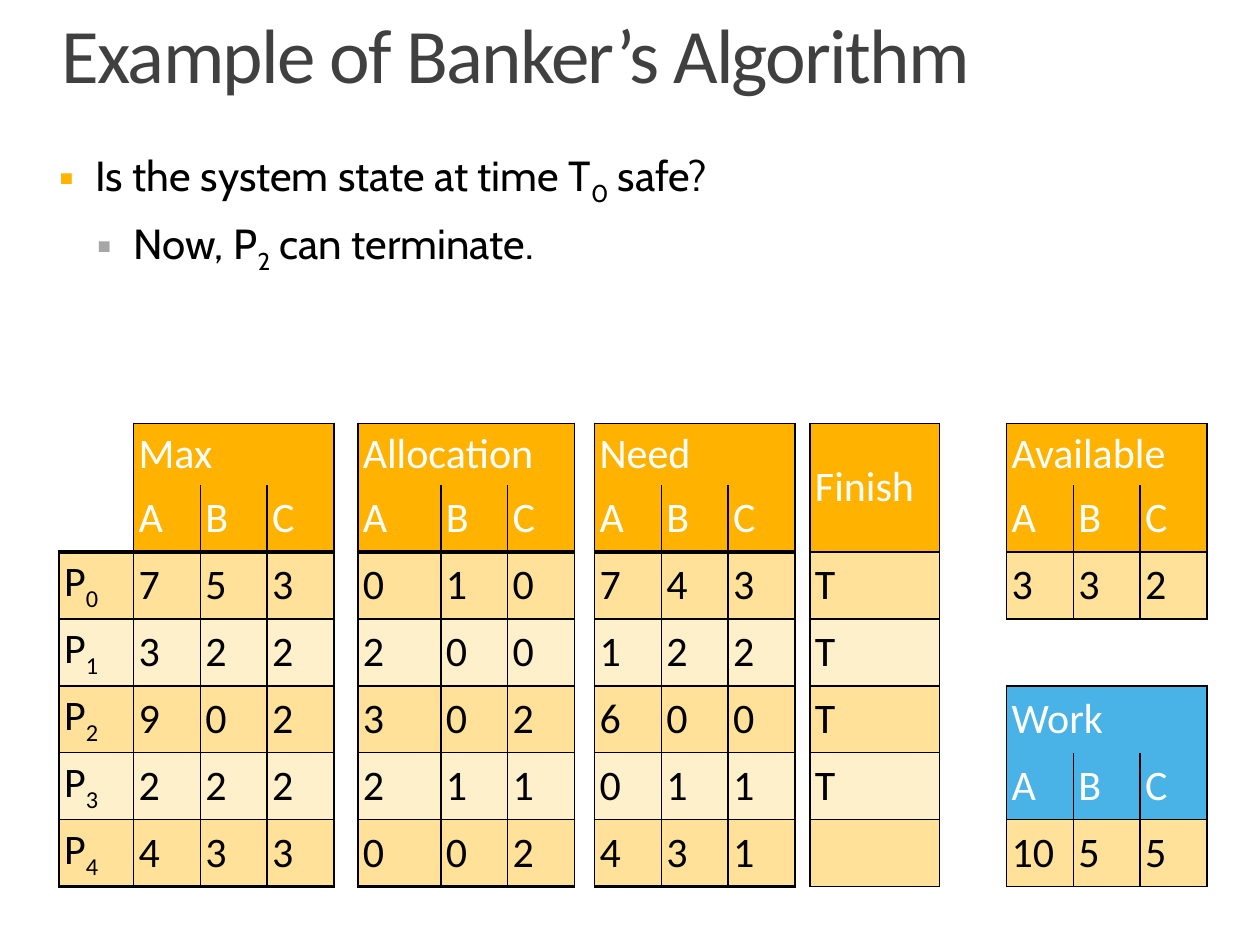
from collections import defaultdict

from lxml import etree
from pptx import Presentation
from pptx.dml.color import RGBColor
from pptx.enum.text import MSO_ANCHOR as Anchor, MSO_AUTO_SIZE as AutoSize, PP_ALIGN as Align
from pptx.oxml.ns import qn
from pptx.util import Inches, Pt

AMBER, BLUE, WHITE, BLACK = "FFB300", "49B3E8", "FFFFFF", "000000"
BANDS = ("FFE199", "FFF0CC")
NO_STYLE = "{2D5ABB26-0587-4C30-8999-92F81FD0307C}"
THIN, HEAVY = 1, 2.25
NEIGHBOURS = {"L": (0, -1, "R"), "R": (0, 1, "L"), "T": (-1, 0, "B"), "B": (1, 0, "T")}

COLUMNS = [0.59] + [0.53] * 3 + [0.19, 0.66, 0.53, 0.53, 0.16] + [0.53] * 3 + [0.12, 1.03] + [0.53] * 4
ROWS = [0.49] + [0.53] * 6
RESOURCES = ["A", "B", "C"]
PROCESSES = ["P_0", "P_1", "P_2", "P_3", "P_4"]
MAXIMUM = ["753", "322", "902", "222", "433"]
ALLOCATION = ["010", "200", "302", "211", "002"]
NEED = ["743", "122", "600", "011", "431"]


def color(value):
    """Turn a hex string into a colour."""
    return RGBColor.from_string(value)


def write(paragraph, text, size=24, font="Calibri", fill=BLACK, spacing=None):
    """Fill a paragraph, lowering each character that follows an underscore."""
    first, *rest = text.split("_")
    pieces = [(first, False)]
    for part in rest:
        pieces += [(part[0], True), (part[1:], False)]
    for piece, lowered in pieces:
        if not piece:
            continue
        run = paragraph.add_run()
        run.text = piece
        run.font.size, run.font.name = Pt(size), font
        run.font.color.rgb = color(fill)
        properties = run.font._element
        if lowered:
            properties.set("baseline", "-25000")
        if spacing is not None:
            properties.set("spc", str(spacing * 100))


def indent(paragraph, left, first=0):
    """Set the left margin and first-line indent of a paragraph in inches."""
    properties = paragraph._p.get_or_add_pPr()
    properties.set("marL", str(Inches(left)))
    properties.set("indent", str(Inches(first)))
    return properties


class SafetySlide:
    """Hold the presentation, its current slide and the table style."""

    def __init__(self):
        """Start a presentation with one title-only slide."""
        self.presentation = Presentation()
        self.presentation.slide_width = Inches(10)
        self.presentation.slide_height = Inches(7.5)
        self.slide = self.presentation.slides.add_slide(self.presentation.slide_layouts[5])
        self.edges = defaultdict(dict)

    def frame(self, shape, anchor, top=0):
        """Give a text shape its margins and wrapping."""
        frame = shape.text_frame
        frame.margin_left = frame.margin_right = frame.margin_bottom = 0
        frame.margin_top = Inches(top)
        frame.word_wrap, frame.auto_size = True, AutoSize.NONE
        frame.vertical_anchor = anchor
        return frame

    def title(self, text):
        """Place and format the title."""
        shape = self.slide.shapes.title
        shape.left, shape.top = 0, 0
        shape.width, shape.height = Inches(10), Inches(0.78)
        paragraph = self.frame(shape, Anchor.BOTTOM, 0.04).paragraphs[0]
        paragraph.alignment, paragraph.line_spacing = Align.LEFT, 0.8
        indent(paragraph, 0.49)
        write(paragraph, text, size=44, fill="404040", spacing=-1)

    def bullets(self, items, left, top, width, height):
        """Add nested bullets given as text, bullet colour and space before."""
        shape = self.slide.shapes.add_textbox(*map(Inches, (left, top, width, height)))
        frame = self.frame(shape, Anchor.TOP)
        for level, (text, bullet_color, space) in enumerate(items):
            paragraph = frame.add_paragraph() if level else frame.paragraphs[0]
            paragraph.level, paragraph.space_before = level, Pt(space)
            properties = indent(paragraph, 0.29 + 0.3 * level, -0.29)
            bullet = etree.SubElement(properties, qn("a:buClr"))
            etree.SubElement(bullet, qn("a:srgbClr"), val=bullet_color)
            etree.SubElement(properties, qn("a:buFont"), typeface="Calibri")
            etree.SubElement(properties, qn("a:buChar"), char="▪")
            write(paragraph, text, font="Cabin")

    def add_table(self, left, top):
        """Add the plain table that carries every block."""
        frame = self.slide.shapes.add_table(
            len(ROWS), len(COLUMNS), Inches(left), Inches(top), Inches(sum(COLUMNS)), Inches(sum(ROWS)))
        self.table = frame.table
        self.table.first_row = self.table.horz_banding = False
        next(frame.element.iter(qn("a:tableStyleId"))).text = NO_STYLE
        for column, width in zip(self.table.columns, COLUMNS):
            column.width = Inches(width)
        for row, height in zip(self.table.rows, ROWS):
            row.height = Inches(height)
        for cell in self.table.iter_cells():
            cell.margin_left = cell.margin_right = cell.margin_top = cell.margin_bottom = Inches(0.04)
            cell.vertical_anchor = Anchor.MIDDLE

    def cell(self, row, column, text, fill, font_color=BLACK, **sides):
        """Fill one cell and note its edges on both sides of each line."""
        cell = self.table.cell(row, column)
        cell.fill.solid()
        cell.fill.fore_color.rgb = color(fill)
        write(cell.text_frame.paragraphs[0], text, fill=font_color)
        for side, width in sides.items():
            down, across, opposite = NEIGHBOURS[side]
            self.edges[row, column][side] = width
            self.edges[row + down, column + across][opposite] = width

    def block(self, column, body, title=None, heads=(), row=0, fill=AMBER, weight=THIN):
        """Add a titled group of columns with its rows of values."""
        last = len(body[0]) - 1
        if title:
            closing = {} if heads else {"B": weight}
            for offset in range(last + 1):
                text = "" if offset else title
                self.cell(row, column + offset, text, fill, WHITE, L=THIN, R=THIN, T=THIN, **closing)
                head = heads[offset] if heads else ""
                self.cell(row + 1, column + offset, head, fill, WHITE, L=THIN, R=THIN, B=weight)
            end = self.table.cell(row if heads else row + 1, column + last)
            self.table.cell(row, column).merge(end)
        for index, values in enumerate(body, row + 2):
            top = weight if index == row + 2 else THIN
            bottom = weight if index == len(ROWS) - 1 else THIN
            for offset, value in enumerate(values):
                self.cell(index, column + offset, value, BANDS[index % 2], L=THIN, R=THIN, T=top, B=bottom)

    def draw_edges(self):
        """Write the noted cell edges into the table and clear all others."""
        for row in range(len(ROWS)):
            for column in range(len(COLUMNS)):
                properties = self.table.cell(row, column)._tc.get_or_add_tcPr()
                sides = self.edges[row, column]
                for place, side in enumerate("LRTB"):
                    line = etree.Element(qn(f"a:ln{side}"), w=str(Pt(sides.get(side, THIN))))
                    if side in sides:
                        solid = etree.SubElement(line, qn("a:solidFill"))
                        etree.SubElement(solid, qn("a:srgbClr"), val=BLACK)
                    else:
                        etree.SubElement(line, qn("a:noFill"))
                    properties.insert(place, line)


def main():
    """Build the slide and save it."""
    page = SafetySlide()
    page.title("Example of Banker’s Algorithm")
    page.add_table(0.47, 3.36)
    page.block(0, [[name] for name in PROCESSES], weight=HEAVY)
    for column, title, body in ((1, "Max", MAXIMUM), (5, "Allocation", ALLOCATION), (9, "Need", NEED)):
        page.block(column, body, title, RESOURCES, weight=HEAVY)
    page.block(13, [["T"]] * 4 + [[""]], "Finish")
    page.block(15, ["332"], "Available", RESOURCES)
    page.block(15, [["10", "5", "5"]], "Work", RESOURCES, row=4, fill=BLUE)
    page.draw_edges()
    page.bullets([("Is the system state at time T_0 safe?", AMBER, 18),
                  ("Now, P_2 can terminate.", "A6A6A6", 6)], 0.47, 1.19, 9.06, 2.76)
    page.presentation.save("out.pptx")


if __name__ == "__main__":
    main()
